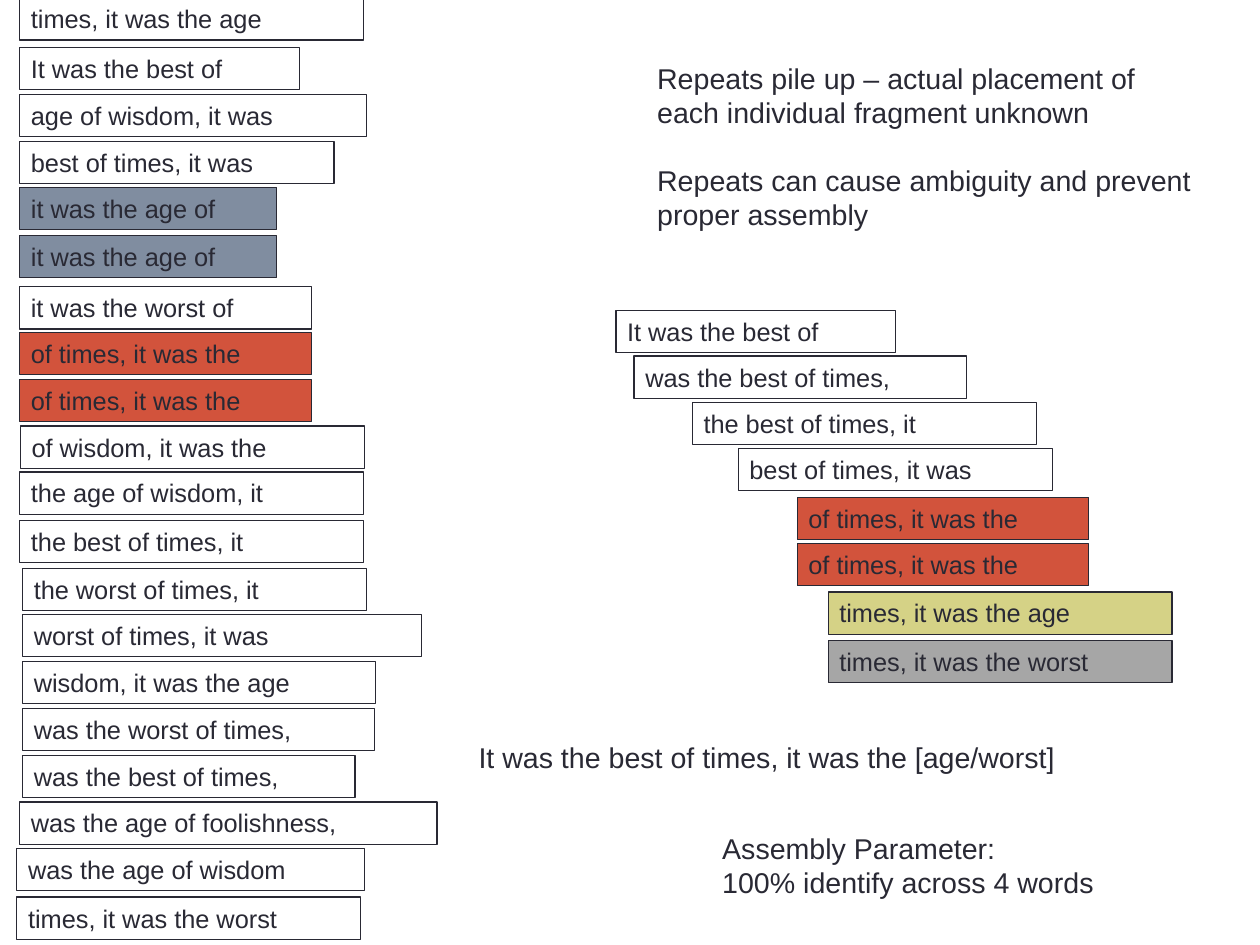
from dataclasses import dataclass

from pptx import Presentation
from pptx import util as u
from pptx.dml.color import RGBColor
from pptx.enum import shapes, text


@dataclass(frozen=True)
class Theme:
    font: str = "Arial"
    ink: str = "292934"
    fragment_size: float = 16
    note_size: float = 18
    slate: str = "808DA0"
    red: str = "D2533C"
    olive: str = "D5D286"
    grey: str = "A6A6A6"


theme = Theme()
SLIDE_SIZE = (793.75, 595.25)
FRAGMENT_HEIGHT = 26.6

# Every fragment keeps one width wherever it appears
fragment_widths = {
    "times, it was the age": 216.7,
    "It was the best of": 176.4,
    "age of wisdom, it was": 218.4,
    "best of times, it was": 198,
    "it was the age of": 162,
    "it was the worst of": 183.8,
    "of times, it was the": 183.8,
    "of wisdom, it was the": 216.7,
    "the age of wisdom, it": 216.7,
    "the best of times, it": 216.7,
    "the worst of times, it": 216.7,
    "worst of times, it was": 251.3,
    "wisdom, it was the age": 222.5,
    "was the worst of times,": 221.8,
    "was the best of times,": 209.5,
    "was the age of foolishness,": 263,
    "was the age of wisdom": 218.9,
    "times, it was the worst": 216.7,
}

# Fragments: wording, left, top, fill
unordered_pile = [
    ("times, it was the age", 12.4, -1.3, None),
    ("It was the best of", 12.4, 29.9, None),
    ("age of wisdom, it was", 12.4, 59.5, None),
    ("best of times, it was", 12.4, 89, None),
    ("it was the age of", 12.4, 118.1, theme.slate),
    ("it was the age of", 12.4, 148.3, theme.slate),
    ("it was the worst of", 12.4, 180.7, None),
    ("of times, it was the", 12.4, 209.3, theme.red),
    ("of times, it was the", 12.4, 239, theme.red),
    ("of wisdom, it was the", 12.8, 268.4, None),
    ("the age of wisdom, it", 12.4, 297.3, None),
    ("the best of times, it", 12.4, 328, None),
    ("the worst of times, it", 14.2, 358, None),
    ("worst of times, it was", 14.2, 387, None),
    ("wisdom, it was the age", 14.2, 416.6, None),
    ("was the worst of times,", 14.2, 446.2, None),
    ("was the best of times,", 14.2, 475.7, None),
    ("was the age of foolishness,", 12.4, 505.2, None),
    ("was the age of wisdom", 10.6, 534.6, None),
    ("times, it was the worst", 10.6, 565.1, None),
]
overlap_staircase = [
    ("It was the best of", 388, 195.6, None),
    ("was the best of times,", 399.4, 224.3, None),
    ("the best of times, it", 436.1, 253.4, None),
    ("best of times, it was", 465, 282.5, None),
    ("of times, it was the", 502.2, 313.3, theme.red),
    ("of times, it was the", 502.2, 342.4, theme.red),
    ("times, it was the age", 521.7, 372.9, theme.olive),
    ("times, it was the worst", 521.7, 403.5, theme.grey),
]

# Notes: paragraphs, (left, top, width, height), gap between paragraphs
notes = [
    (["Repeats pile up – actual placement of each individual fragment unknown",
      "Repeats can cause ambiguity and prevent proper assembly"],
     (406.9, 34.6, 355.7, 115.2), 21.4),
    (["It was the best of times, it was the [age/worst]"],
     (294.4, 462.7, 444.2, 28.8), 0),
    (["Assembly Parameter:", "100% identify across 4 words"],
     (447.9, 519.7, 314.6, 50.4), 0),
]


def color(code):
    return RGBColor.from_string(code)


def write(frame, paragraphs, size, gap=0):
    frame.word_wrap = True
    frame.auto_size = text.MSO_AUTO_SIZE.SHAPE_TO_FIT_TEXT
    frame.vertical_anchor = text.MSO_ANCHOR.TOP
    frame.text = "\n".join(paragraphs)
    for index, paragraph in enumerate(frame.paragraphs):
        paragraph.alignment = text.PP_ALIGN.LEFT
        if index and gap:
            paragraph.space_before = u.Pt(gap)
        for run in paragraph.runs:
            run.font.name = theme.font
            run.font.size = u.Pt(size)
            run.font.color.rgb = color(theme.ink)


def add_fragment(slide, wording, left, top, fill):
    box = map(u.Pt, (left, top, fragment_widths[wording], FRAGMENT_HEIGHT))
    fragment = slide.shapes.add_shape(shapes.MSO_SHAPE.RECTANGLE, *box)
    fragment.shadow.inherit = False
    if fill:
        fragment.fill.solid()
        fragment.fill.fore_color.rgb = color(fill)
    else:
        fragment.fill.background()
    fragment.line.color.rgb = color(theme.ink)
    fragment.line.width = u.Pt(0)
    write(fragment.text_frame, [wording], theme.fragment_size)


def main():
    deck = Presentation()
    deck.slide_width, deck.slide_height = map(u.Pt, SLIDE_SIZE)
    slide = deck.slides.add_slide(deck.slide_layouts[6])

    # Unordered fragments on the left, overlapping ones on the right
    for fragment in unordered_pile + overlap_staircase:
        add_fragment(slide, *fragment)

    # Explanations and assembled sentence
    for paragraphs, box, gap in notes:
        note = slide.shapes.add_textbox(*map(u.Pt, box))
        write(note.text_frame, paragraphs, theme.note_size, gap)

    deck.save("out.pptx")


if __name__ == "__main__":
    main()
